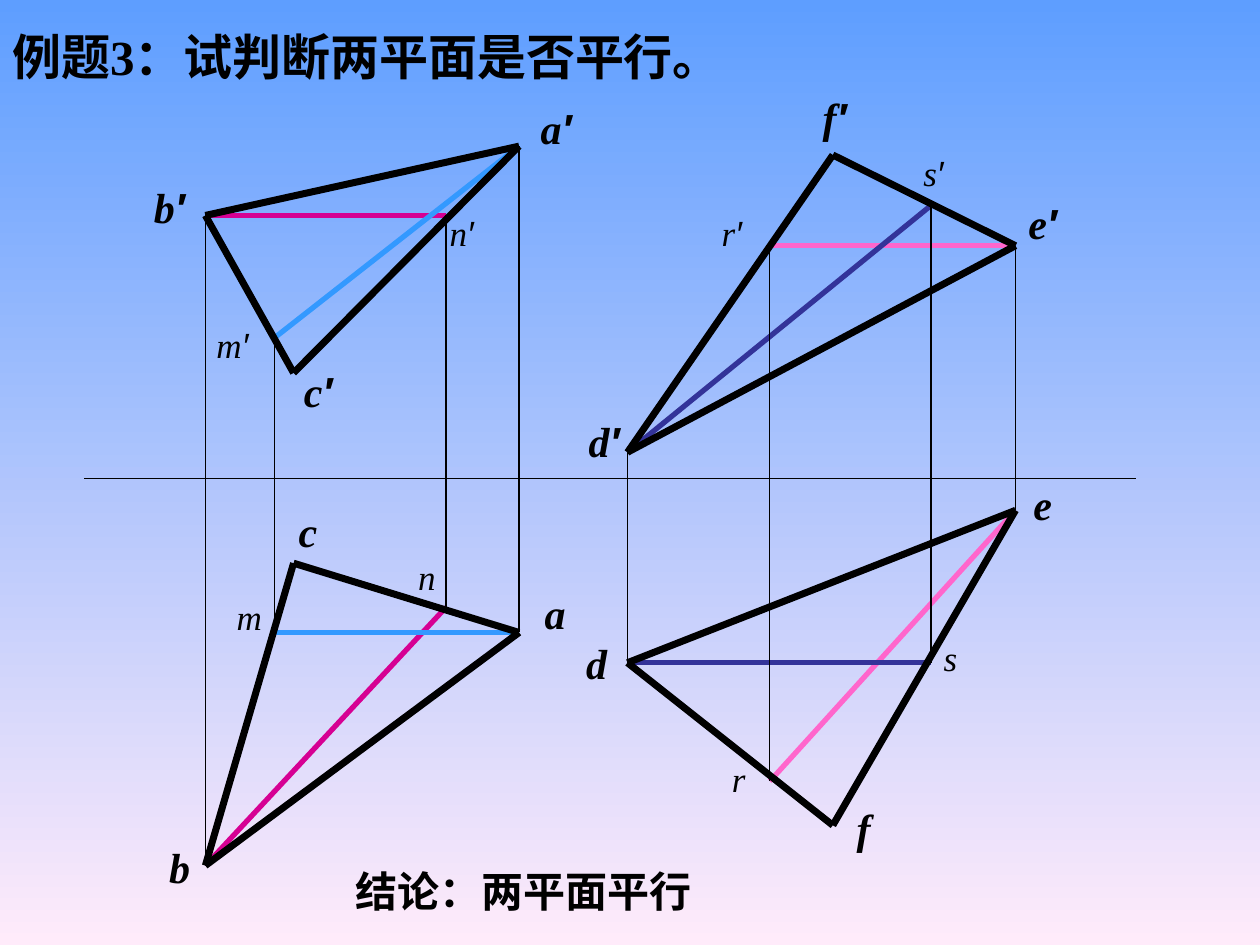
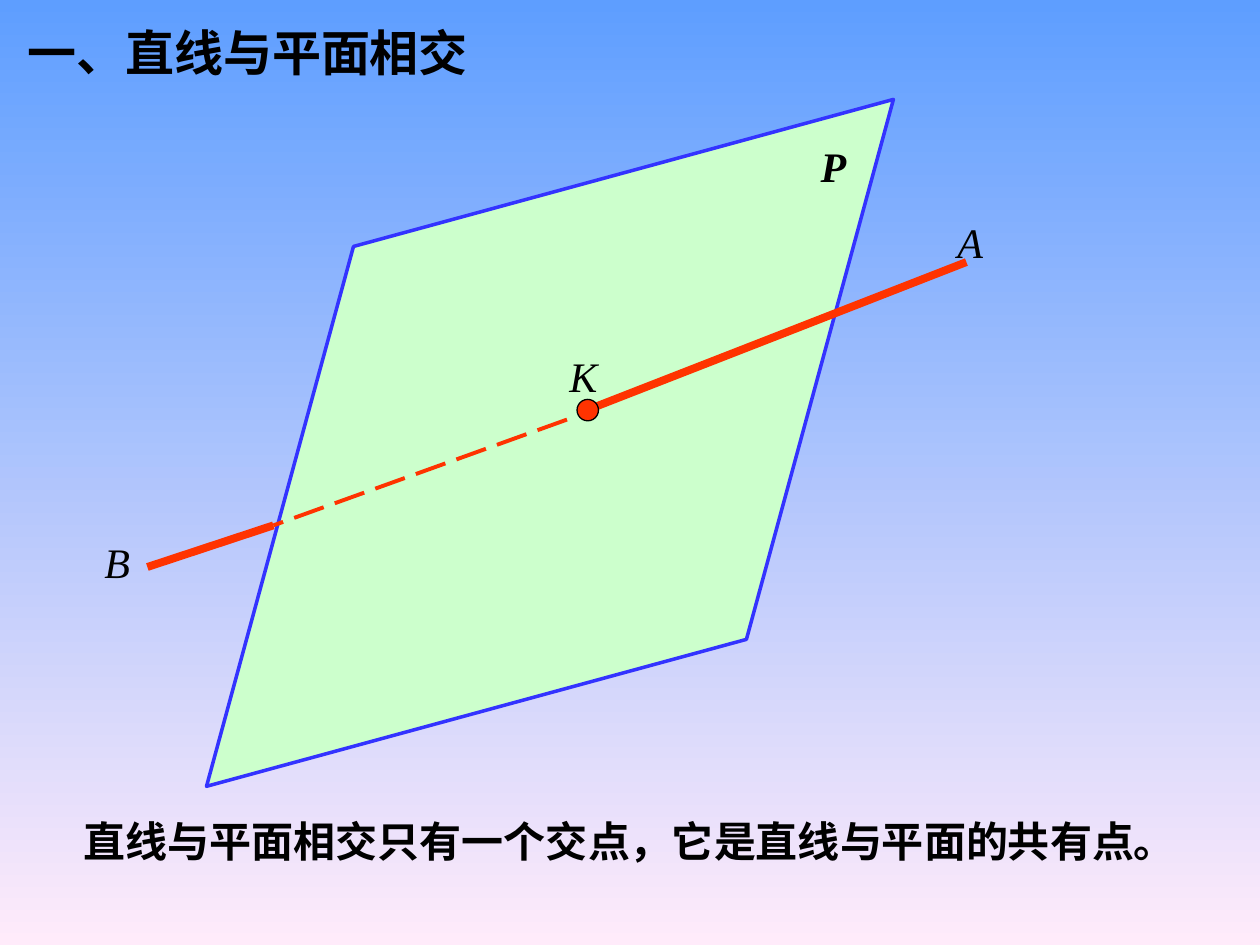
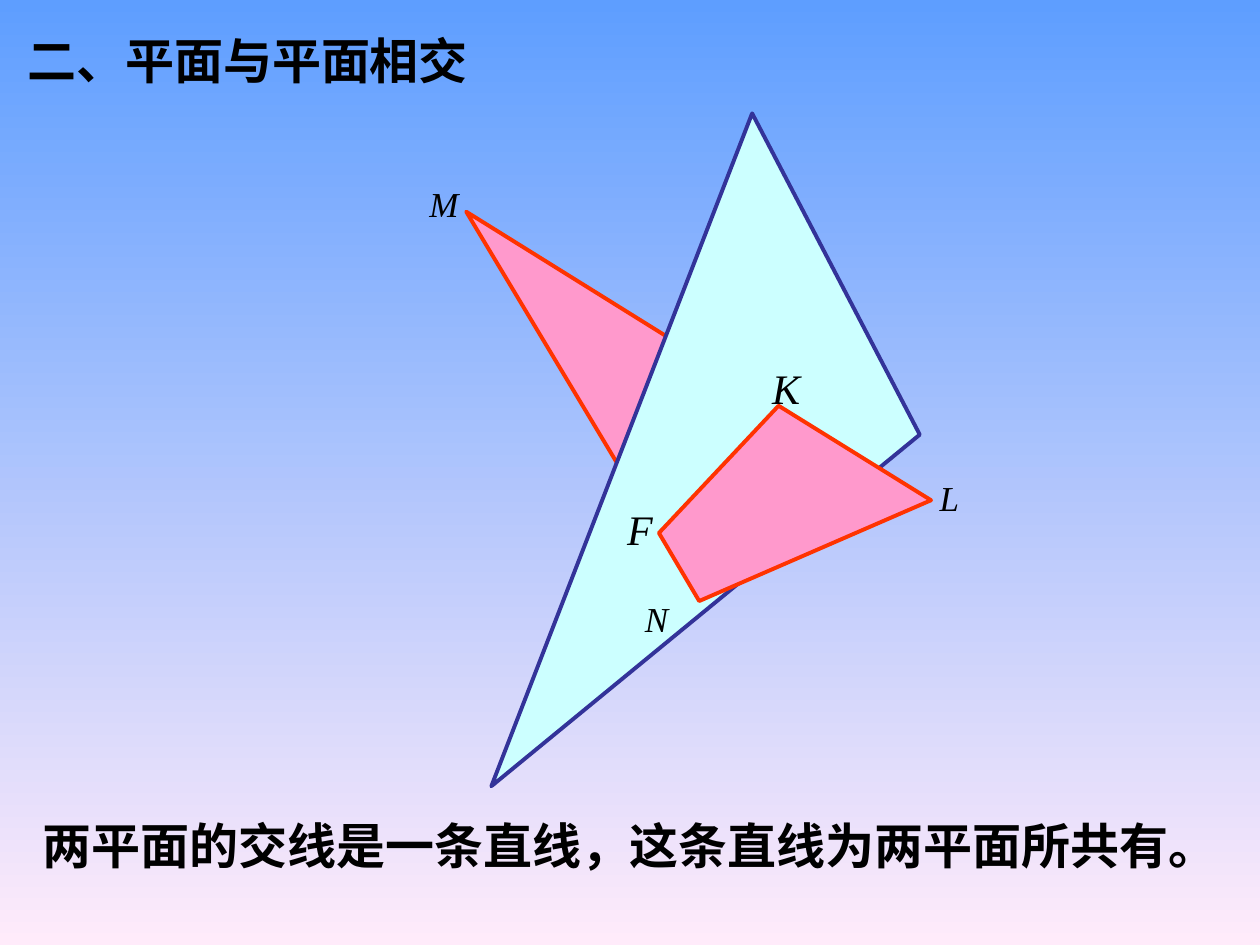
from itertools import combinations

from lxml import etree
from pptx import Presentation
from pptx.dml.color import RGBColor
from pptx.enum.dml import MSO_LINE
from pptx.enum.shapes import MSO_CONNECTOR, MSO_SHAPE
from pptx.enum.text import MSO_ANCHOR, PP_ALIGN
from pptx.oxml.ns import qn
from pptx.util import Inches, Pt

LEFT, CENTER = PP_ALIGN.LEFT, PP_ALIGN.CENTER
TOP, MIDDLE = MSO_ANCHOR.TOP, MSO_ANCHOR.MIDDLE
STRAIGHT = MSO_CONNECTOR.STRAIGHT
DIAMOND, OVAL = MSO_SHAPE.DIAMOND, MSO_SHAPE.OVAL
LONG_DASH = MSO_LINE.LONG_DASH

SLIDE_WIDTH, SLIDE_HEIGHT = Inches(10), Inches(7.5)
COLUMN, ROW = SLIDE_WIDTH / 10, SLIDE_HEIGHT / 7.5

SERIF, SANS, CHINESE = "Times New Roman", "Arial", "Noto Sans CJK SC"
PRIME = "′"

BLACK = RGBColor(0x00, 0x00, 0x00)
SKY = RGBColor(0x5E, 0x9E, 0xFF)
BLUSH = RGBColor(0xFF, 0xEB, 0xFA)
PINK = RGBColor(0xFF, 0x66, 0xCC)
NAVY = RGBColor(0x33, 0x33, 0x99)
MAGENTA = RGBColor(0xD6, 0x00, 0x93)
AZURE = RGBColor(0x33, 0x99, 0xFF)
RED = RGBColor(0xFF, 0x33, 0x00)
BLUE = RGBColor(0x33, 0x33, 0xFF)
MINT = RGBColor(0xCC, 0xFF, 0xCC)
ICE = RGBColor(0xCC, 0xFF, 0xFF)
ROSE = RGBColor(0xFF, 0x99, 0xCC)

FRONT, PLAN = 0, 1
VIEWS = (FRONT, PLAN)
VERTICES = {
    "a": (4.12, (1.16, 5.02)),
    "b": (1.63, (1.71, 6.87)),
    "c": (2.33, (2.96, 4.47)),
    "d": (4.98, (3.59, 5.26)),
    "e": (8.06, (1.95, 4.05)),
    "f": (6.61, (1.23, 6.55)),
    "m": (2.18, (2.68, 5.02)),
    "n": (3.54, (1.71, 4.82)),
    "r": (6.11, (1.95, 6.2)),
    "s": (7.39, (1.63, 5.26)),
}
TRIANGLES = ("abc", "def")
INNER_LINES = {"er": PINK, "ds": NAVY, "bn": MAGENTA, "am": AZURE}
PROJECTED = "abdemnrs"
CORNER_LABELS = {
    "a": ((4.13, 0.76), (4.12, 4.61)),
    "b": ((1.06, 1.39), (1.14, 6.63)),
    "c": ((2.24, 2.85), (2.16, 3.96)),
    "d": ((4.51, 3.25), (4.45, 5.01)),
    "e": ((7.99, 1.52), (7.99, 3.75)),
    "f": ((6.34, 0.68), (6.57, 6.32)),
}
INNER_LABELS = {
    "m": ((1.62, 2.52), (1.78, 4.68)),
    "n": ((3.47, 1.63), (3.22, 4.36)),
    "r": ((5.63, 1.63), (5.71, 5.96)),
    "s": ((7.23, 1.15), (7.39, 5.0)),
}


def place(x, y):
    return int(x * COLUMN), int(y * ROW)


def vertex(name, view):
    x, heights = VERTICES[name]
    return x, heights[view]


def add_text(page, area, spans, size, bold=False, italic=False,
             align=LEFT, anchor=TOP):
    left, top, width, height = area
    box = page.shapes.add_textbox(*place(left, top), *place(width, height))
    frame = box.text_frame
    frame.word_wrap = True
    frame.vertical_anchor = anchor
    para = frame.paragraphs[0]
    para.alignment = align
    for text, font_name in spans:
        span = para.add_run()
        span.text = text
        font = span.font
        font.name, font.size = font_name, Pt(size)
        font.bold, font.italic = bold, italic
        font.color.rgb = BLACK
        if any(letter >= "\u3000" for letter in text):
            etree.SubElement(span._r.rPr, qn("a:ea"), typeface=CHINESE)


def add_title(page, left, top, spans):
    add_text(page, (left, top, 9.8, 0.6), spans, 28, bold=True)


def add_statement(page, text, size):
    add_text(page, (0, 6.42, 10, 0.5), [(text, SERIF)], size, bold=True, align=CENTER)


def add_letter(page, letter, left, top, size=24):
    add_text(page, (left, top, 0.64, 0.5), [(letter, SERIF)], size, italic=True)


def add_line(page, start, end, color, weight, dash=None):
    line = page.shapes.add_connector(STRAIGHT, *place(*start), *place(*end))
    line.line.color.rgb = color
    line.line.width = Pt(weight)
    if dash is not None:
        line.line.dash_style = dash
    etree.SubElement(line._element.spPr, qn("a:effectLst"))


def paint(shape, fill, color, weight):
    shape.shadow.inherit = False
    shape.fill.solid()
    shape.fill.fore_color.rgb = fill
    shape.line.color.rgb = color
    shape.line.width = Pt(weight)


def add_plane(page, corners, fill, color):
    start, *others = [place(*corner) for corner in corners]
    outline = page.shapes.build_freeform(*start)
    outline.add_line_segments(others, close=True)
    paint(outline.convert_to_shape(), fill, color, 2.25)


def add_preset(page, kind, area, fill, color, weight, rotation=0):
    left, top, width, height = area
    shape = page.shapes.add_shape(kind, *place(left, top), *place(width, height))
    shape.rotation = rotation
    paint(shape, fill, color, weight)


def label_spans(name, view):
    spans = [(name, SERIF)]
    if view == FRONT:
        spans.append((PRIME, SANS))
    return spans


def build_parallel_example(page):
    add_title(page, 0, 0.16, [("例题", SANS), ("3", SERIF),
                              ("：试判断两平面是否平行。", SANS)])
    for view in VIEWS:
        for (start, end), color in INNER_LINES.items():
            add_line(page, vertex(start, view), vertex(end, view), color, 3)
    for view in VIEWS:
        for triangle in TRIANGLES:
            for start, end in combinations(triangle, 2):
                add_line(page, vertex(start, view), vertex(end, view), BLACK, 4)
    for name in PROJECTED:
        add_line(page, vertex(name, FRONT), vertex(name, PLAN), BLACK, 0.75)
    add_line(page, (0.67, 3.8), (9.02, 3.8), BLACK, 0.75)
    for view in VIEWS:
        for name, corners in CORNER_LABELS.items():
            add_text(page, (*corners[view], 0.57, 0.5), label_spans(name, view), 24,
                     bold=True, italic=True, align=CENTER, anchor=MIDDLE)
        for name, corners in INNER_LABELS.items():
            add_text(page, (*corners[view], 0.64, 0.44), label_spans(name, view), 20,
                     italic=True)
    add_text(page, (2.72, 6.82, 3.85, 0.5), [("结论：两平面平行", CHINESE)], 24, bold=True)


def build_line_meets_plane(page):
    entry, crossing = (2.17, 4.17), (4.67, 3.25)
    add_preset(page, DIAMOND, (0.51, 1.31, 7.71, 4.41), MINT, BLUE, 2, 315)
    add_line(page, (4.5, 3.33), entry, RED, 2.25, LONG_DASH)
    add_title(page, 0.12, 0.13, [("一、直线与平面相交", SANS)])
    add_statement(page, "直线与平面相交只有一个交点，它是直线与平面的共有点。", 24)
    add_line(page, entry, (1.17, 4.5), RED, 4.5)
    add_line(page, crossing, (7.67, 2.08), RED, 4.5)
    add_preset(page, OVAL, (4.58, 3.17, 0.17, 0.17), RED, BLACK, 0.75)
    for letter, left, top in (("B", 0.73, 4.21), ("K", 4.42, 2.73), ("A", 7.5, 1.67)):
        add_letter(page, letter, left, top)
    add_text(page, (6.34, 1.07, 0.55, 0.5), [("P", SERIF)], 24,
             bold=True, italic=True, align=CENTER)


def build_plane_meets_plane(page):
    f_point, k_point = (5.23, 4.23), (6.18, 3.22)
    add_plane(page, (f_point, (3.7, 1.68), (6.19, 3.23)), ROSE, RED)
    add_title(page, 0.12, 0.19, [("二、平面与平面相交", SERIF)])
    add_statement(page, "两平面的交线是一条直线，这条直线为两平面所共有。", 28)
    add_plane(page, ((7.3, 3.45), (3.9, 6.24), (5.97, 0.9)), ICE, NAVY)
    add_plane(page, (k_point, f_point, (5.55, 4.77), (7.39, 3.97)), ROSE, RED)
    for letter, left, top, size in (("M", 3.31, 1.4, 20), ("F", 4.88, 3.95, 24),
                                    ("K", 6.03, 2.83, 24), ("N", 5.02, 4.69, 20),
                                    ("L", 7.36, 3.73, 20)):
        add_letter(page, letter, left, top, size)


def set_background(master):
    fill = master.background.fill
    fill.gradient()
    fill.gradient_angle = 270
    for stop, color in zip(fill.gradient_stops, (SKY, BLUSH)):
        stop.color.rgb = color


def main():
    deck = Presentation()
    deck.slide_width, deck.slide_height = SLIDE_WIDTH, SLIDE_HEIGHT
    set_background(deck.slide_master)
    blank = deck.slide_layouts[6]
    for build in (build_parallel_example, build_line_meets_plane, build_plane_meets_plane):
        build(deck.slides.add_slide(blank))
    deck.save("out.pptx")


if __name__ == "__main__":
    main()
